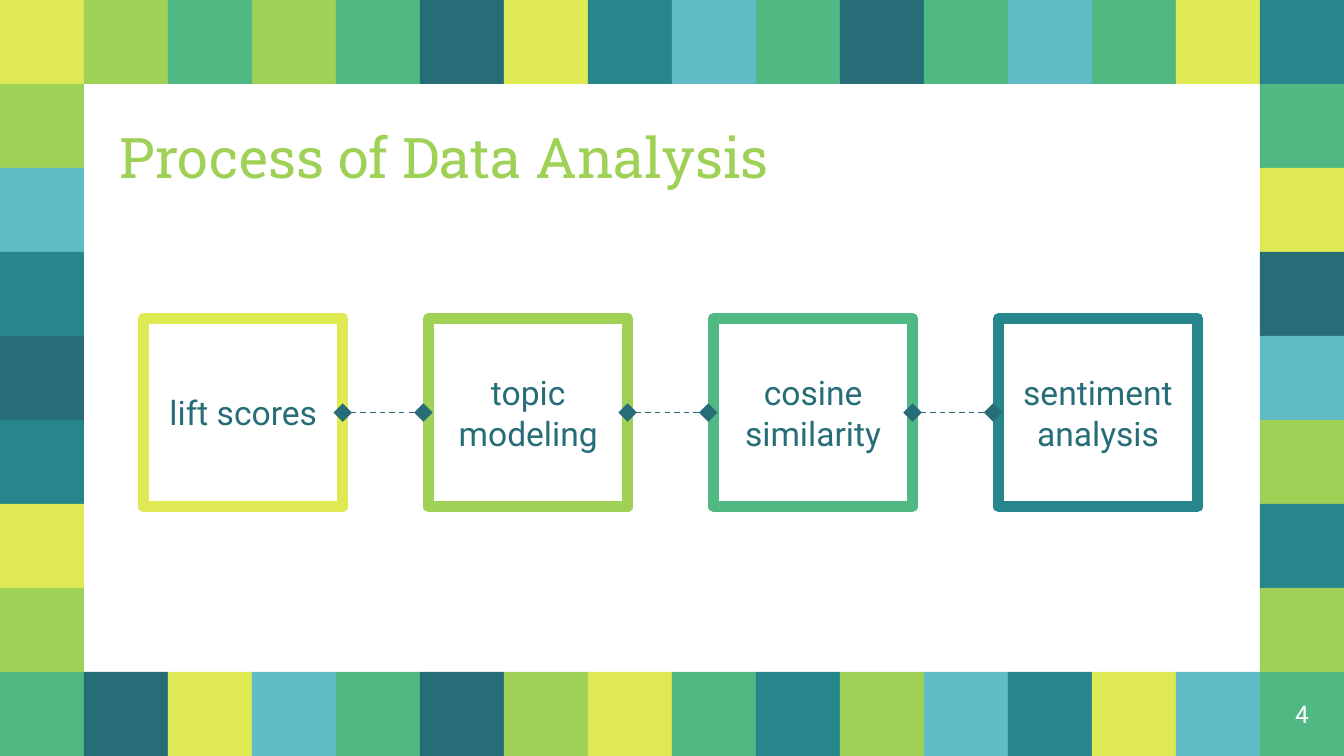
from dataclasses import dataclass

from lxml import etree
from pptx import Presentation
from pptx.dml.color import RGBColor
from pptx.enum import dml, shapes, text
from pptx.oxml import ns
from pptx.util import Inches, Pt

LIME, DARK, YELLOW = "9ED155", "266D78", "DFE954"
GREEN, TEAL, BLUE = "50B883", "27868B", "5FBBC5"
TILE_COLORS = dict(L=LIME, D=DARK, Y=YELLOW, G=GREEN, T=TEAL, B=BLUE)

COLUMNS, ROWS = 16, 9
TILE = 10 / COLUMNS
BOX_LEFT, BOX_TOP, BOX_WIDTH, BOX_HEIGHT = 1.07, 2.37, 1.48, 1.4
BOX_PITCH = 2.12
LINK_LENGTH = 0.6


@dataclass
class TileRun:
    """A straight run of tiles, one letter of TILE_COLORS each."""
    column: int
    row: int
    letters: str
    vertical: bool = False


@dataclass
class Step:
    label: str
    color: str


FRAME = [
    TileRun(0, 0, "YLGLGDYTBGDGBGYT"),
    TileRun(0, ROWS - 1, "GDYBGDLYGTLBTYBG"),
    TileRun(0, 1, "LBTDTYL", vertical=True),
    TileRun(COLUMNS - 1, 1, "GYDBLTL", vertical=True),
]
STEPS = [
    Step("lift scores", YELLOW),
    Step("topic modeling", LIME),
    Step("cosine similarity", GREEN),
    Step("sentiment analysis", TEAL),
]


def rgb(color: str) -> RGBColor:
    return RGBColor.from_string(color)


def write_text(shape, words: str, *, size: float, color: str, font: str = "Roboto",
               align=text.PP_ALIGN.CENTER, anchor=text.MSO_ANCHOR.MIDDLE) -> None:
    frame = shape.text_frame
    frame.word_wrap = True
    frame.auto_size = text.MSO_AUTO_SIZE.NONE
    frame.vertical_anchor = anchor
    frame.margin_left = frame.margin_right = Inches(0.1)
    frame.margin_top = frame.margin_bottom = Inches(0.1)
    para = frame.paragraphs[0]
    para.alignment = align
    span = para.add_run()
    span.text = words
    span.font.name = font
    span.font.size = Pt(size)
    span.font.color.rgb = rgb(color)


def add_rectangle(page, left: float, top: float, width: float, height: float):
    box = page.shapes.add_shape(shapes.MSO_SHAPE.RECTANGLE, Inches(left), Inches(top),
                                Inches(width), Inches(height))
    box.shadow.inherit = False
    return box


def draw_tiles(page, run: TileRun) -> None:
    for index, letter in enumerate(run.letters):
        column = run.column + (0 if run.vertical else index)
        row = run.row + (index if run.vertical else 0)
        tile = add_rectangle(page, column * TILE, row * TILE, TILE, TILE)
        tile.fill.solid()
        tile.fill.fore_color.rgb = rgb(TILE_COLORS[letter])
        tile.line.fill.background()


def draw_step(page, step: Step, index: int):
    box = add_rectangle(page, BOX_LEFT + index * BOX_PITCH, BOX_TOP, BOX_WIDTH, BOX_HEIGHT)
    box.fill.background()
    box.line.color.rgb = rgb(step.color)
    box.line.width = Pt(6)
    write_text(box, step.label, size=18, color=DARK)
    return box


def draw_link(page, box) -> None:
    """Dashed line with diamond ends, leaving the right side of the box."""
    start = box.left + box.width
    middle = box.top + box.height // 2
    link = page.shapes.add_connector(shapes.MSO_CONNECTOR.STRAIGHT, start, middle,
                                     start + Inches(LINK_LENGTH), middle)
    link.begin_connect(box, 3)
    link.line.color.rgb = rgb(DARK)
    link.line.width = Pt(0.75)
    link.line.dash_style = dml.MSO_LINE.DASH
    outline = link.line._get_or_add_ln()
    for end in ("a:headEnd", "a:tailEnd"):
        etree.SubElement(outline, ns.qn(end), type="diamond", w="lg", len="lg")
    etree.SubElement(link._element.spPr, ns.qn("a:effectLst"))


def main() -> None:
    deck = Presentation()
    deck.slide_width, deck.slide_height = Inches(10), Inches(ROWS * TILE)
    page = deck.slides.add_slide(deck.slide_layouts[5])

    for run in FRAME:
        draw_tiles(page, run)

    corner = Inches((COLUMNS - 1) * TILE), Inches((ROWS - 1) * TILE)
    number = page.shapes.add_textbox(*corner, Inches(TILE), Inches(TILE))
    write_text(number, "4", size=13, color="FFFFFF")

    title = page.shapes.title
    title.left, title.top = Inches(0.79), Inches(0.57)
    title.width, title.height = Inches(7.01), Inches(0.94)
    write_text(title, "Process of Data Analysis", size=30, color=LIME, font="Roboto Slab",
               align=text.PP_ALIGN.LEFT, anchor=text.MSO_ANCHOR.BOTTOM)

    boxes = [draw_step(page, step, index) for index, step in enumerate(STEPS)]
    for box in boxes[:-1]:
        draw_link(page, box)

    deck.save("out.pptx")


if __name__ == "__main__":
    main()
